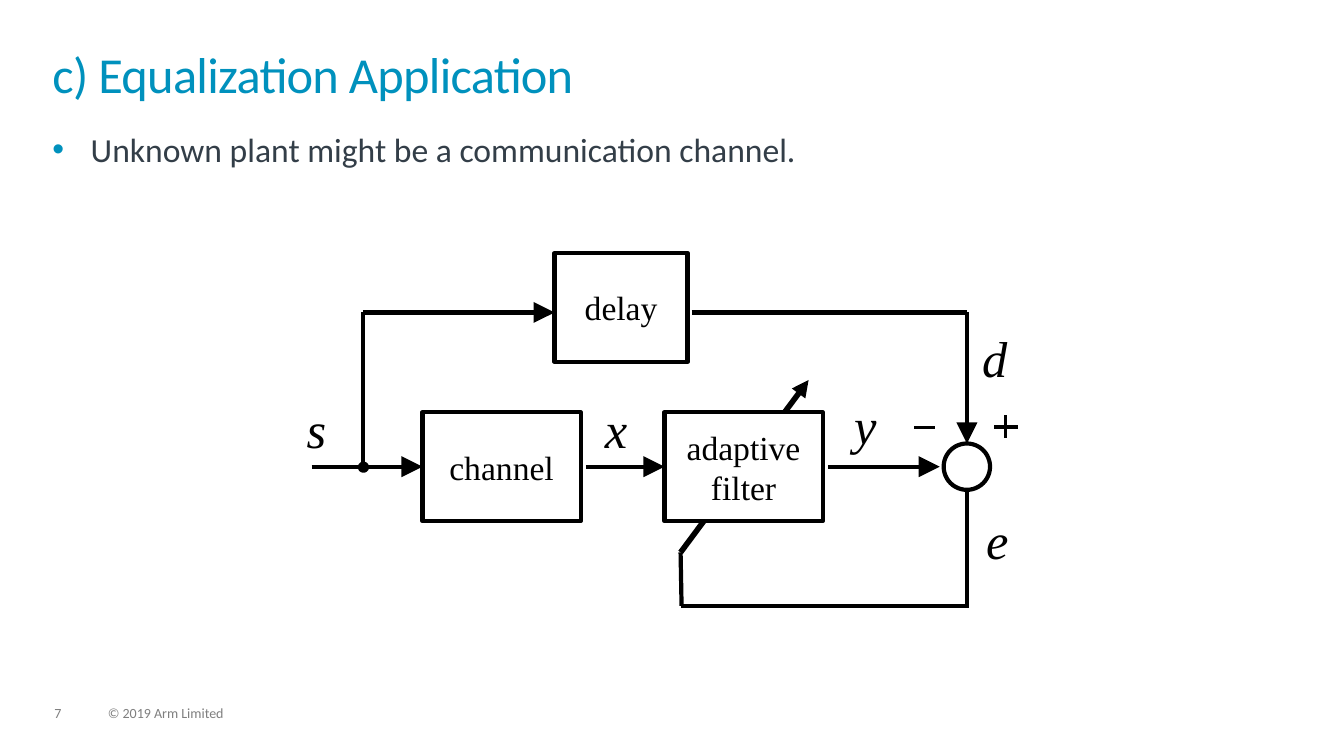
import pptx
import pptx.util
import pptx.dml.color
import pptx.enum.shapes
import pptx.enum.text
import pptx.oxml.ns
import lxml.etree

Inches, Pt = pptx.util.Inches, pptx.util.Pt
RGBColor = pptx.dml.color.RGBColor
SHAPE = pptx.enum.shapes.MSO_SHAPE
ALIGN = pptx.enum.text.PP_ALIGN
qn = pptx.oxml.ns.qn

BLACK = RGBColor(0x00, 0x00, 0x00)
WHITE = RGBColor(0xFF, 0xFF, 0xFF)
BLUE = RGBColor(0x00, 0x91, 0xBD)
SLATE = RGBColor(0x33, 0x3E, 0x48)
GREY = RGBColor(0x7F, 0x7F, 0x7F)

# Shared levels of the diagram: signal row, delay row, feedback row, summing column
SIGNAL_Y, DELAY_Y, FEEDBACK_Y = 4.63, 3.1, 6.01
SPLIT_X, SUM_X, SUM_RADIUS = 3.6, 9.59, 0.23


def clear_margins(frame):
    frame.margin_left = frame.margin_top = frame.margin_right = frame.margin_bottom = 0


def add_run(paragraph, text, size, color, font="Calibri", italic=False):
    run = paragraph.add_run()
    run.text = text
    run.font.name = font
    run.font.size = Pt(size)
    run.font.italic = italic
    run.font.color.rgb = color
    return run


def add_text(slide, text, left, top, width, height, size, color, spacing=None, wrap=True,
             **font):
    box = slide.shapes.add_textbox(Inches(left), Inches(top), Inches(width), Inches(height))
    frame = box.text_frame
    clear_margins(frame)
    frame.word_wrap = wrap
    paragraph = frame.paragraphs[0]
    if spacing:
        paragraph.line_spacing = spacing
    return paragraph, add_run(paragraph, text, size, color, **font)


def add_bullet(paragraph, color, indent):
    properties = paragraph._p.get_or_add_pPr()
    properties.set("marL", str(Inches(indent)))
    properties.set("indent", str(-Inches(indent)))
    bullet_color = lxml.etree.SubElement(properties, qn("a:buClr"))
    lxml.etree.SubElement(bullet_color, qn("a:srgbClr"), val=str(color))
    lxml.etree.SubElement(properties, qn("a:buFont"), typeface="Arial")
    lxml.etree.SubElement(properties, qn("a:buChar"), char="•")


def add_outlined(slide, preset, left, top, width, height, fill=WHITE):
    shape = slide.shapes.add_shape(preset, Inches(left), Inches(top), Inches(width),
                                   Inches(height))
    shape.shadow.inherit = False
    shape.fill.solid()
    shape.fill.fore_color.rgb = fill
    shape.line.color.rgb = BLACK
    shape.line.width = Pt(3)
    return shape


def add_block(slide, lines, left, top, width):
    block = add_outlined(slide, SHAPE.RECTANGLE, left, top, width, 1.08)
    frame = block.text_frame
    clear_margins(frame)
    frame.vertical_anchor = pptx.enum.text.MSO_ANCHOR.MIDDLE
    for index, line in enumerate(lines):
        paragraph = frame.add_paragraph() if index else frame.paragraphs[0]
        paragraph.alignment = ALIGN.CENTER
        add_run(paragraph, line, 24, BLACK, font="Times New Roman")
    return block


def add_wire(slide, x1, y1, x2, y2, width=3, head=None):
    wire = slide.shapes.add_connector(pptx.enum.shapes.MSO_CONNECTOR.STRAIGHT, Inches(x1),
                                      Inches(y1), Inches(x2), Inches(y2))
    wire.line.color.rgb = BLACK
    wire.line.width = Pt(width)
    if head:
        lxml.etree.SubElement(wire.line._get_or_add_ln(), qn("a:tailEnd"), type="triangle",
                              w=head, len=head)
    lxml.etree.SubElement(wire._element.spPr, qn("a:effectLst"))
    return wire


def add_diagram(slide):
    # Adaptation arrow passes behind the filter block
    add_wire(slide, 6.75, 5.48, 8.02, 3.77, width=4, head="med")

    # Blocks and summing point
    adaptive_filter = add_block(slide, ["adaptive", "filter"], 6.59, 4.09, 1.57)
    channel = add_block(slide, ["channel"], 4.19, 4.09, 1.57)
    add_block(slide, ["delay"], 5.5, 2.51, 1.32)
    add_outlined(slide, SHAPE.OVAL, SUM_X - SUM_RADIUS, SIGNAL_Y - SUM_RADIUS,
                 2 * SUM_RADIUS, 2 * SUM_RADIUS)

    # Signal path
    add_wire(slide, 3.09, SIGNAL_Y, 4.19, SIGNAL_Y, head="lg").end_connect(channel, 1)
    add_wire(slide, 5.81, SIGNAL_Y, 6.59, SIGNAL_Y, head="lg").end_connect(adaptive_filter, 1)
    add_wire(slide, 8.21, SIGNAL_Y, 9.32, SIGNAL_Y, head="lg")

    # Delay path
    add_wire(slide, SPLIT_X, DELAY_Y, SPLIT_X, SIGNAL_Y)
    add_wire(slide, SPLIT_X, DELAY_Y, 5.5, DELAY_Y, head="lg")
    add_wire(slide, 6.86, DELAY_Y, SUM_X, DELAY_Y)
    add_wire(slide, SUM_X, DELAY_Y, SUM_X, SIGNAL_Y - SUM_RADIUS, head="lg")
    add_outlined(slide, SHAPE.OVAL, SPLIT_X - 0.03, SIGNAL_Y - 0.03, 0.07, 0.07, fill=BLACK)

    # Error feedback path
    add_wire(slide, SUM_X, SIGNAL_Y + SUM_RADIUS, SUM_X, 6.03)
    add_wire(slide, SUM_X, FEEDBACK_Y, 6.75, FEEDBACK_Y)
    add_wire(slide, 6.75, 5.48, 6.76, FEEDBACK_Y)

    # Minus and plus signs
    add_wire(slide, 9.07, 4.24, 9.27, 4.24, width=2)
    add_wire(slide, 9.86, 4.24, 10.1, 4.24)
    add_wire(slide, 9.97, 4.12, 9.97, 4.35, width=2)

    # Signal names
    for name, left, top in [("s", 3.04, 3.95), ("x", 6, 3.95), ("y", 8.47, 3.91),
                            ("d", 9.74, 3.24), ("e", 9.78, 5.05)]:
        add_text(slide, name, left, top, 0.25, 0.61, 36, BLACK, wrap=False,
                 font="Times New Roman", italic=True)


def main():
    deck = pptx.Presentation()
    deck.slide_width, deck.slide_height = Inches(13.33), Inches(7.5)
    slide = deck.slides.add_slide(deck.slide_layouts[6])

    # Title and statement
    _, title = add_text(slide, "c) Equalization Application", 0.52, 0.52, 12.28, 0.72, 36,
                        BLUE, spacing=0.85)
    title.font._element.set("spc", "-50")
    statement, _ = add_text(slide, "Unknown plant might be a communication channel.",
                            0.52, 1.28, 12.28, 0.5, 24, SLATE)
    add_bullet(statement, BLUE, 0.38)

    add_diagram(slide)

    # Footer
    add_text(slide, "7", 0.54, 7.01, 0.34, 0.15, 10, GREY, spacing=0.9)
    add_text(slide, "© 2019 Arm Limited", 1.07, 7.01, 5.07, 0.15, 10, GREY, spacing=0.9)

    deck.save("out.pptx")


if __name__ == "__main__":
    main()
